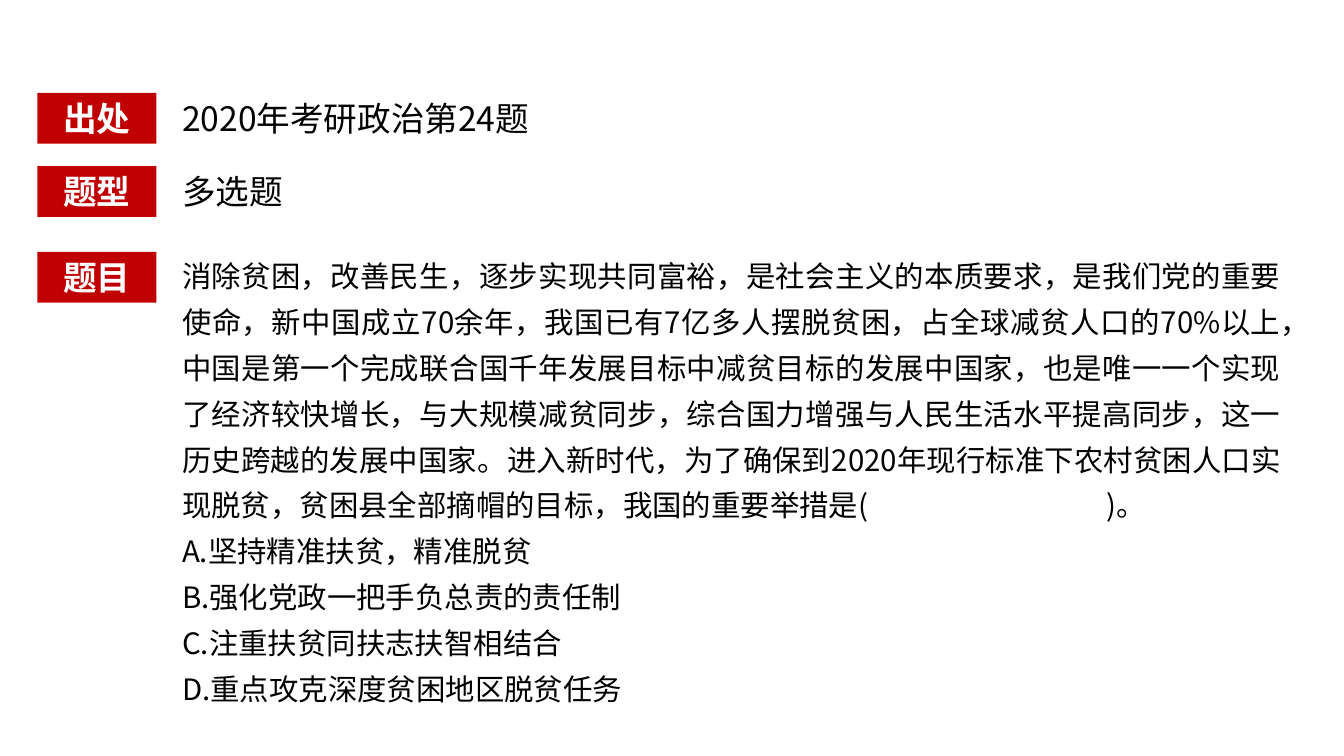
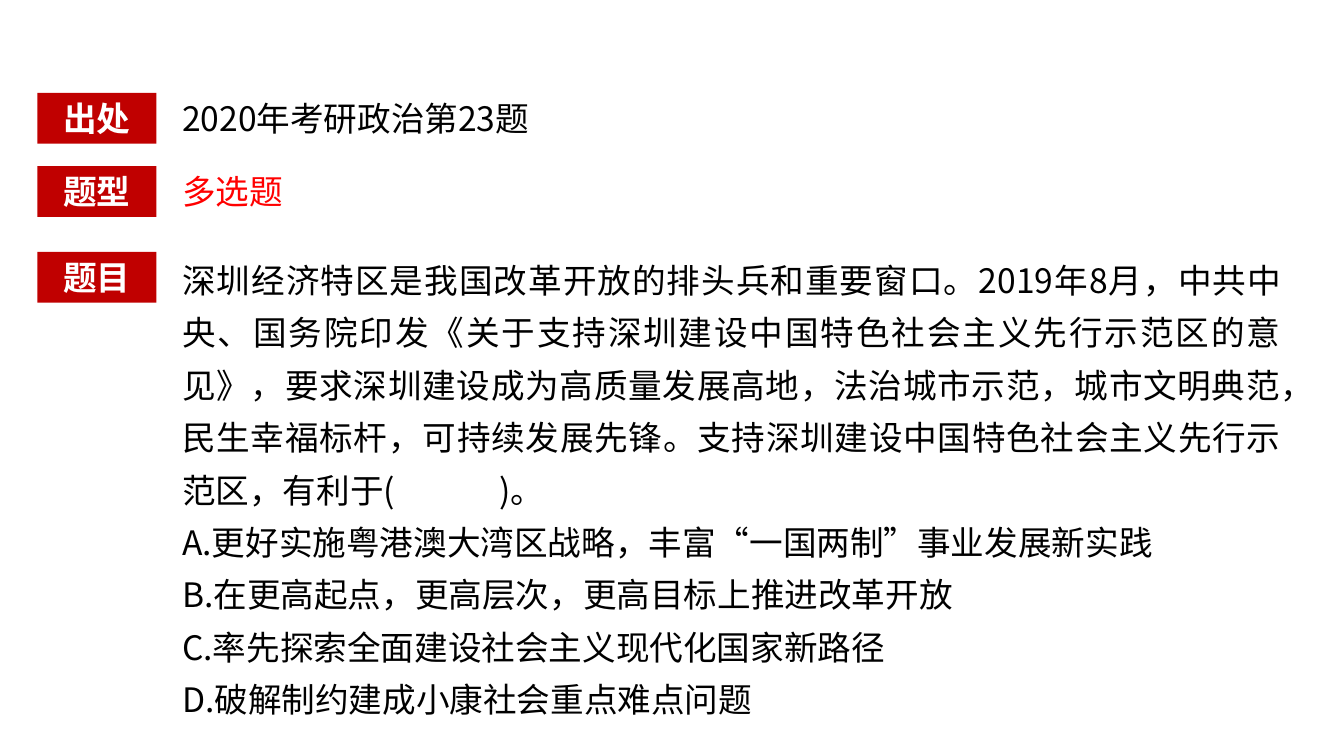
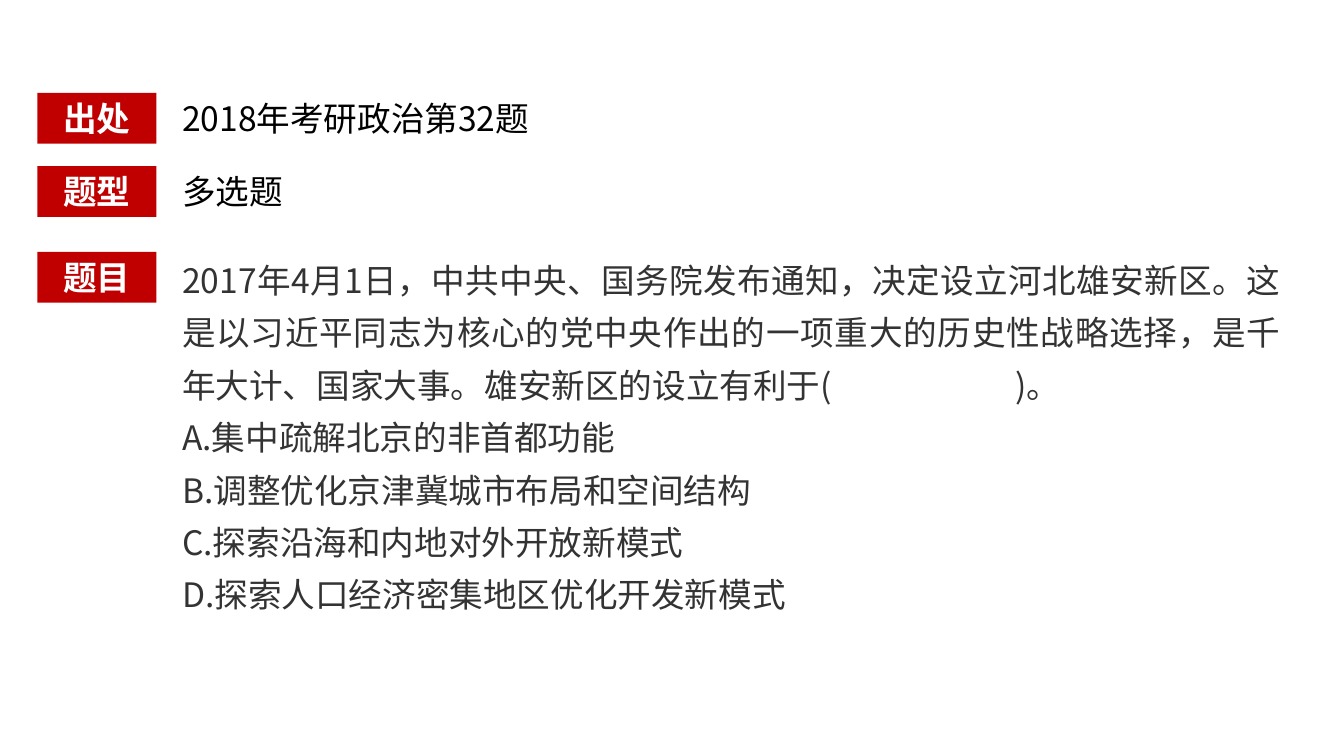
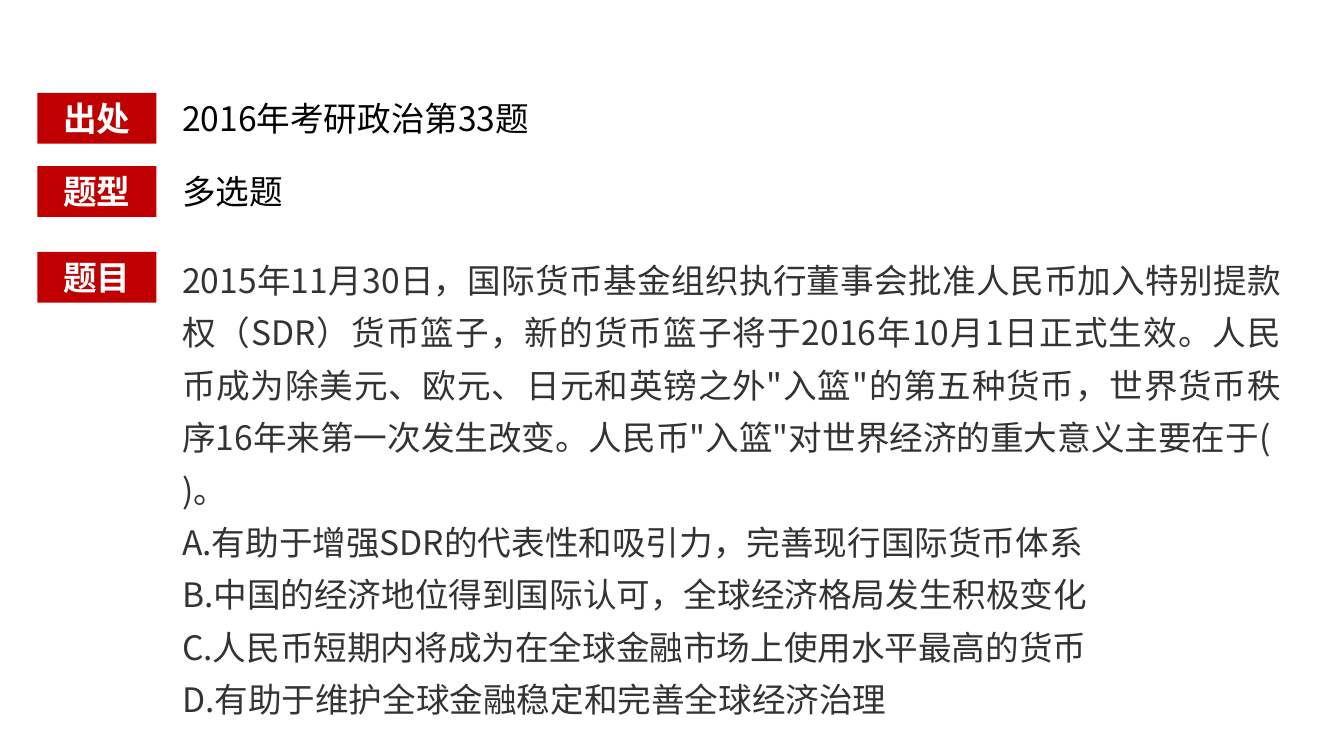
from lxml.etree import SubElement
from pptx import Presentation
from pptx.dml.color import RGBColor
from pptx.enum.shapes import MSO_SHAPE
from pptx.enum.text import MSO_ANCHOR, MSO_AUTO_SIZE, PP_ALIGN
from pptx.oxml.ns import qn
from pptx.util import Cm, Pt

# Shared style
FONT = "Noto Sans CJK SC"
CRIMSON = RGBColor(0xC0, 0x00, 0x00)
RED = RGBColor(0xFF, 0x00, 0x00)
BLACK = RGBColor(0x00, 0x00, 0x00)
GREY = RGBColor(0x33, 0x33, 0x33)
WHITE = RGBColor(0xFF, 0xFF, 0xFF)

# Shared grid, in centimetres
LABEL_LEFT, LABEL_WIDTH, ROW_HEIGHT = 0.94, 3.0, 1.28
TEXT_LEFT, ANSWER_WIDTH, QUESTION_WIDTH = 4.34, 23.0, 28.19
SOURCE_TOP, TYPE_TOP, QUESTION_TOP = 2.34, 4.19, 6.35
QUESTION_TEXT_TOP = 6.12

# Each question: a tab stands for the answer blank, which ends at blank_end
QUESTIONS = [
    dict(
        source="2020年考研政治第24题",
        stem="消除贫困，改善民生，逐步实现共同富裕，是社会主义的本质要求，是我们党的重要使命，"
             "新中国成立70余年，我国已有7亿多人摆脱贫困，占全球减贫人口的70%以上，"
             "中国是第一个完成联合国千年发展目标中减贫目标的发展中国家，"
             "也是唯一一个实现了经济较快增长，与大规模减贫同步，综合国力增强与人民生活水平提高同步，"
             "这一历史跨越的发展中国家。进入新时代，为了确保到2020年现行标准下农村贫困人口实现脱贫，"
             "贫困县全部摘帽的目标，我国的重要举措是(\t)。",
        options=[
            "A.坚持精准扶贫，精准脱贫",
            "B.强化党政一把手负总责的责任制",
            "C.注重扶贫同扶志扶智相结合",
            "D.重点攻克深度贫困地区脱贫任务",
        ],
        blank_end=23.3, height=11.81, size=21,
    ),
    dict(
        source="2020年考研政治第23题",
        type_color=RED,
        stem="深圳经济特区是我国改革开放的排头兵和重要窗口。2019年8月，中共中央、国务院印发"
             "《关于支持深圳建设中国特色社会主义先行示范区的意见》，要求深圳建设成为高质量发展高地，"
             "法治城市示范，城市文明典范，民生幸福标杆，可持续发展先锋。"
             "支持深圳建设中国特色社会主义先行示范区，有利于(\t)。",
        options=[
            "A.更好实施粤港澳大湾区战略，丰富“一国两制”事业发展新实践",
            "B.在更高起点，更高层次，更高目标上推进改革开放",
            "C.率先探索全面建设社会主义现代化国家新路径",
            "D.破解制约建成小康社会重点难点问题",
        ],
        blank_end=8.0, height=12.14,
    ),
    dict(
        source="2018年考研政治第32题",
        stem="2017年4月1日，中共中央、国务院发布通知，决定设立河北雄安新区。"
             "这是以习近平同志为核心的党中央作出的一项重大的历史性战略选择，是千年大计、国家大事。"
             "雄安新区的设立有利于(\t)。",
        options=[
            "A.集中疏解北京的非首都功能",
            "B.调整优化京津冀城市布局和空间结构",
            "C.探索沿海和内地对外开放新模式",
            "D.探索人口经济密集地区优化开发新模式",
        ],
        blank_end=21.0, height=9.47, color=GREY,
    ),
    dict(
        source="2016年考研政治第33题",
        stem="2015年11月30日，国际货币基金组织执行董事会批准人民币加入特别提款权（SDR）货币篮子，"
             "新的货币篮子将于2016年10月1日正式生效。"
             '人民币成为除美元、欧元、日元和英镑之外"入篮"的第五种货币，'
             '世界货币秩序16年来第一次发生改变。人民币"入篮"对世界经济的重大意义主要在于(\t)。',
        options=[
            "A.有助于增强SDR的代表性和吸引力，完善现行国际货币体系",
            "B.中国的经济地位得到国际认可，全球经济格局发生积极变化",
            "C.人民币短期内将成为在全球金融市场上使用水平最高的货币",
            "D.有助于维护全球金融稳定和完善全球经济治理",
        ],
        blank_end=7.5, height=12.14, color=GREY,
    ),
]


class QuizDeck:
    """Holds the presentation, its style and the current page."""

    def __init__(self):
        self.deck = Presentation()
        self.deck.slide_width = Cm(33.87)
        self.deck.slide_height = Cm(19.05)
        self.page = None

    def new_page(self):
        self.page = self.deck.slides.add_slide(self.deck.slide_layouts[6])

    def style(self, para, color, size=24, bold=False):
        font = para.font
        font.name, font.size, font.bold = FONT, Pt(size), bold
        font.color.rgb = color
        properties = para._p.pPr.find(qn("a:defRPr"))
        SubElement(properties, qn("a:ea")).set("typeface", FONT)

    def label(self, text, top):
        box = self.page.shapes.add_shape(
            MSO_SHAPE.RECTANGLE, Cm(LABEL_LEFT), Cm(top), Cm(LABEL_WIDTH), Cm(ROW_HEIGHT))
        box.shadow.inherit = False
        box.fill.solid()
        box.fill.fore_color.rgb = CRIMSON
        box.line.fill.background()
        frame = box.text_frame
        frame.vertical_anchor = MSO_ANCHOR.TOP
        frame.auto_size = MSO_AUTO_SIZE.SHAPE_TO_FIT_TEXT
        para = frame.paragraphs[0]
        para.text = text
        para.alignment = PP_ALIGN.CENTER
        self.style(para, WHITE, bold=True)

    def text_frame(self, top, width, height):
        box = self.page.shapes.add_textbox(Cm(TEXT_LEFT), Cm(top), Cm(width), Cm(height))
        frame = box.text_frame
        frame.word_wrap = True
        frame.auto_size = MSO_AUTO_SIZE.SHAPE_TO_FIT_TEXT
        return frame

    def answer(self, text, top, color=BLACK):
        para = self.text_frame(top, ANSWER_WIDTH, ROW_HEIGHT).paragraphs[0]
        para.text = text
        self.style(para, color)

    def question(self, stem, options, blank_end, height, size=24, color=BLACK):
        frame = self.text_frame(QUESTION_TEXT_TOP, QUESTION_WIDTH, height)
        for index, text in enumerate([stem, *options]):
            para = frame.add_paragraph() if index else frame.paragraphs[0]
            para.text = text
            para.line_spacing = 1.3
            if index == 0:
                para.alignment = PP_ALIGN.JUSTIFY
                tabs = SubElement(para._p.get_or_add_pPr(), qn("a:tabLst"))
                SubElement(tabs, qn("a:tab"), pos=str(Cm(blank_end)), algn="l")
            self.style(para, color, size)

    def quiz_page(self, source, type_color=BLACK, **question):
        self.new_page()
        # Source and question type
        self.label("出处", SOURCE_TOP)
        self.answer(source, SOURCE_TOP)
        self.label("题型", TYPE_TOP)
        self.answer("多选题", TYPE_TOP, type_color)
        # Question with its options
        self.label("题目", QUESTION_TOP)
        self.question(**question)


def main():
    quiz = QuizDeck()
    for entry in QUESTIONS:
        quiz.quiz_page(**entry)
    quiz.deck.save("out.pptx")


if __name__ == "__main__":
    main()
